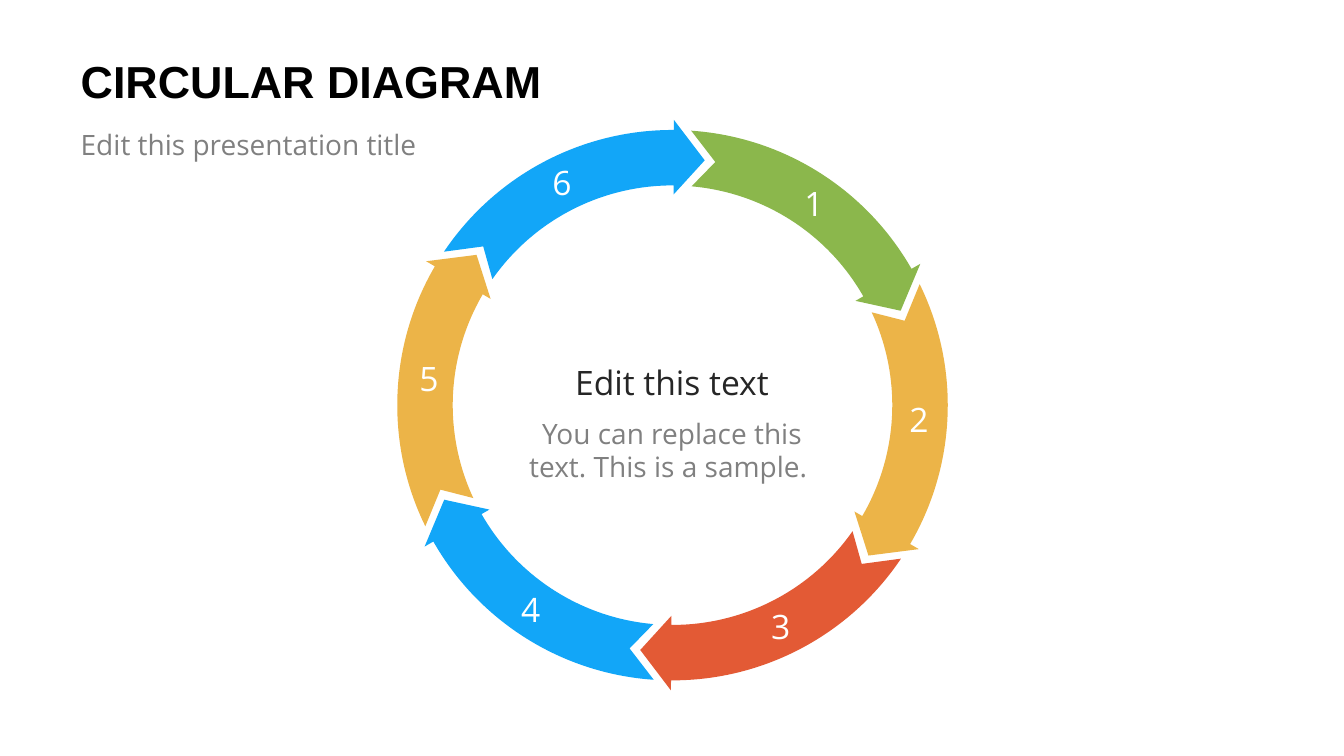
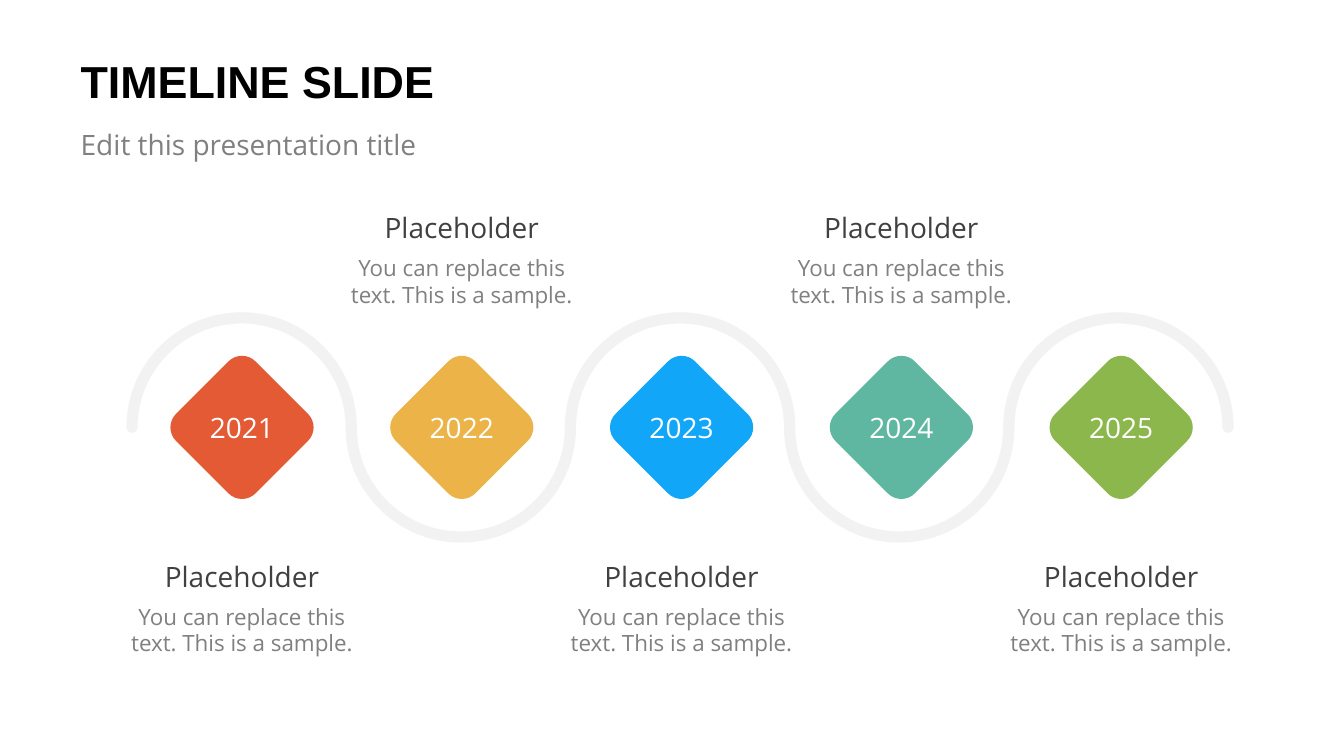
import math
import pptx
import pptx.util
import pptx.dml.color
import pptx.enum.text
import pptx.oxml.ns
import lxml.etree

Inches = pptx.util.Inches
qn = pptx.oxml.ns.qn
ALIGN = pptx.enum.text.PP_ALIGN
ANCHOR = pptx.enum.text.MSO_ANCHOR

# Shared style
HEAD_FONT, TEXT_FONT = "Arial", "Open Sans"
BLUE, GREEN, YELLOW = "12A6F8", "8BB74C", "ECB448"
RED, TEAL, PALE = "E35A35", "5FB7A2", "F2F2F2"
BLACK, DARK, CHARCOAL, GREY, WHITE = "000000", "262626", "404040", "808080", "FFFFFF"
TITLE_AREA = (0.67, 0.41, 8.5, 0.78)
SUBTITLE_AREA = (0.67, 1.19, 4.33, 0.56)
SUBTITLE = "Edit this presentation title"
SAMPLE = "You can replace this text. This is a sample."

# Circular diagram: label, colour, label corner
SEGMENTS = [
    ("1", GREEN, (7.88, 1.77)),
    ("2", YELLOW, (8.92, 3.91)),
    ("3", RED, (7.55, 5.96)),
    ("4", BLUE, (5.07, 5.79)),
    ("5", YELLOW, (4.06, 3.5)),
    ("6", BLUE, (5.38, 1.56)),
]
RING_CENTRE = (6.67, 4.02)
RING_OUTER, RING_MIDDLE, RING_INNER = 2.73, 2.45, 2.18
BARB_OUTER, BARB_INNER = 2.83, 2.09

# Timeline: year and colour; captions alternate below and above
YEARS = [("2021", RED), ("2022", YELLOW), ("2023", BLUE), ("2024", TEAL), ("2025", GREEN)]
FIRST_X, AXIS_Y, PITCH = 2.4, 4.24, 2.18
WAVE_LEFT, WAVE_RIGHT = 1.31, 12.18
CAPTION_TOPS = (5.5, 2.04)


def rgb(value):
    return pptx.dml.color.RGBColor.from_string(value)


def write(frame, text, size, colour, align=ALIGN.CENTER, font=TEXT_FONT, bold=False):
    para = frame.paragraphs[0]
    para.alignment = align
    para.space_before = pptx.util.Pt(0)
    span = para.add_run()
    span.text = text
    span.font.name, span.font.size, span.font.bold = font, pptx.util.Pt(size), bold
    span.font.color.rgb = rgb(colour)


def add_text(slide, area, text, size, colour, wrap=True, align=ALIGN.CENTER):
    box = slide.shapes.add_textbox(*map(Inches, area))
    box.text_frame.word_wrap = wrap
    write(box.text_frame, text, size, colour, align)


# Outlines are lists of (end point, control points); lines have no controls
def polar(centre, radius, degrees):
    """Point at a clockwise angle from twelve o'clock."""
    angle = math.radians(degrees)
    return centre[0] + radius * math.sin(angle), centre[1] - radius * math.cos(angle)


def corner(centre, radius, degrees):
    return polar(centre, radius, degrees), ()


def arc(centre, radius, start, end):
    """Line to the arc's start, then one curve for each quadrant crossed."""
    low, high = min(start, end), max(start, end)
    cuts = [cut for cut in range(-360, 720, 90) if low < cut < high]
    stops = [low, *cuts, high]
    if start > end:
        stops.reverse()
    steps = [corner(centre, radius, start)]
    for first, last in zip(stops, stops[1:]):
        reach = radius * 4 / 3 * math.tan(math.radians(last - first) / 4)
        leave = polar(polar(centre, radius, first), reach, first + 90)
        arrive = polar(polar(centre, radius, last), -reach, last + 90)
        steps.append((polar(centre, radius, last), (leave, arrive)))
    return steps


def add_outline(slide, steps, fill=None, closed=True):
    ends = [(Inches(x), Inches(y)) for (x, y), _ in steps]
    builder = slide.shapes.build_freeform(*ends[0])
    builder.add_line_segments(ends[1:], close=closed)
    shape = builder.convert_to_shape()
    # Turn the segments that have control points into curves
    segments = list(shape._element.iter(qn("a:lnTo")))
    for segment, (_, controls) in zip(segments, steps[1:]):
        if controls:
            segment.tag = qn("a:cubicBezTo")
            for place, (x, y) in enumerate(controls):
                point = lxml.etree.Element(qn("a:pt"))
                point.set("x", str(Inches(x) - shape.left))
                point.set("y", str(Inches(y) - shape.top))
                segment.insert(place, point)
    shape.shadow.inherit = False
    if fill:
        shape.fill.solid()
        shape.fill.fore_color.rgb = rgb(fill)
        shape.line.fill.background()
    else:
        shape.fill.background()
    return shape


def place_header(layout):
    for holder, area in zip(layout.placeholders, (TITLE_AREA, SUBTITLE_AREA)):
        holder.left, holder.top, holder.width, holder.height = map(Inches, area)


def add_slide(deck, layout, title):
    slide = deck.slides.add_slide(layout)
    heading, subtitle = slide.placeholders
    for holder, anchor in ((heading, ANCHOR.MIDDLE), (subtitle, ANCHOR.TOP)):
        frame = holder.text_frame
        frame.margin_left = frame.margin_right = Inches(0.13)
        frame.margin_top = frame.margin_bottom = Inches(0.07)
        frame.vertical_anchor = anchor
        frame.auto_size = pptx.enum.text.MSO_AUTO_SIZE.NONE
    properties = subtitle.text_frame.paragraphs[0]._p.get_or_add_pPr()
    properties.set("marL", "0")
    properties.set("indent", "0")
    lxml.etree.SubElement(properties, qn("a:buNone"))
    write(heading.text_frame, title, 32, BLACK, ALIGN.LEFT, HEAD_FONT, True)
    write(subtitle.text_frame, SUBTITLE, 20, GREY, ALIGN.LEFT)
    return slide


def build_circle(slide):
    sweep = 360 / len(SEGMENTS)
    for index, (label, colour, (left, top)) in enumerate(SEGMENTS):
        turn = index * sweep
        head = turn + sweep + 0.3
        steps = [
            *arc(RING_CENTRE, RING_OUTER, turn + 3.9, head),
            corner(RING_CENTRE, BARB_OUTER, head),
            corner(RING_CENTRE, RING_MIDDLE, head + 7.2),
            corner(RING_CENTRE, BARB_INNER, head),
            *arc(RING_CENTRE, RING_INNER, head, turn + 5),
            corner(RING_CENTRE, RING_MIDDLE, turn + 10),
        ]
        add_outline(slide, steps, colour)
        add_text(slide, (left, top, 0.39, 0.5), label, 24, WHITE, False, ALIGN.LEFT)
    add_text(slide, (5.08, 4.08, 3.17, 0.77), SAMPLE + " ", 20, GREY)
    add_text(slide, (5.59, 3.54, 2.15, 0.5), "Edit this text", 24, DARK, wrap=False)


def build_timeline(slide):
    # Wave of half circles, arching up and down in turn
    width = (WAVE_RIGHT - WAVE_LEFT) / len(YEARS)
    for index in range(len(YEARS)):
        centre = (WAVE_LEFT + (index + 0.5) * width, AXIS_Y)
        start = 270 if index % 2 else -90
        line = add_outline(slide, arc(centre, width / 2, start, 90), closed=False).line
        line.color.rgb = rgb(PALE)
        line.width = pptx.util.Pt(8)
        line._get_or_add_ln().set("cap", "rnd")

    # Rounded diamonds with captions
    for index, (year, colour) in enumerate(YEARS):
        x = FIRST_X + index * PITCH
        steps = []
        for side in (0, 90, 180, 270):
            steps += arc(polar((x, AXIS_Y), 0.52, side), 0.19, side - 45, side + 45)
        diamond = add_outline(slide, steps, colour)
        diamond.text_frame.vertical_anchor = ANCHOR.MIDDLE
        write(diamond.text_frame, year, 20, WHITE)
        top = CAPTION_TOPS[index % 2]
        add_text(slide, (x - 1.25, top + 0.43, 2.5, 0.64), SAMPLE, 16, GREY)
        add_text(slide, (x - 1.25, top, 2.5, 0.44), "Placeholder", 20, CHARCOAL)


def main():
    deck = pptx.Presentation()
    deck.slide_width, deck.slide_height = Inches(13.33), Inches(7.5)
    layout = deck.slide_layouts.get_by_name("Title and Content")
    place_header(layout)
    build_circle(add_slide(deck, layout, "CIRCULAR DIAGRAM"))
    build_timeline(add_slide(deck, layout, "TIMELINE SLIDE"))
    deck.save("out.pptx")


if __name__ == "__main__":
    main()
